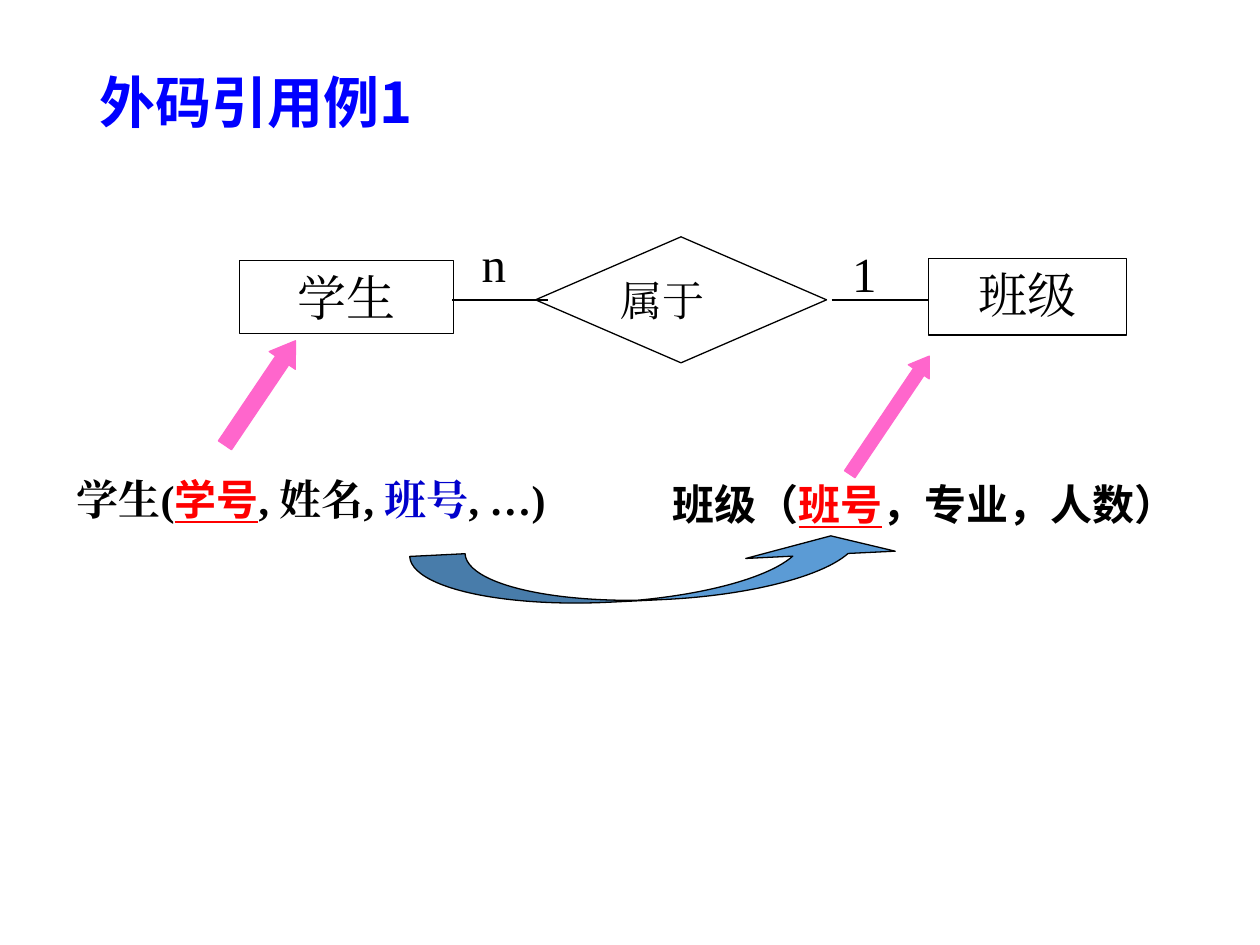
from dataclasses import dataclass
from typing import NamedTuple, Optional

from pptx import Presentation
from pptx.dml.color import RGBColor
from pptx.enum.shapes import MSO_CONNECTOR as Connector, MSO_SHAPE as Shape
from pptx.enum.text import MSO_ANCHOR as Anchor, MSO_AUTO_SIZE as AutoSize, PP_ALIGN as Align
from pptx.oxml.ns import qn
from pptx.util import Inches, Pt


@dataclass(frozen=True)
class Theme:
    black: str = "000000"
    white: str = "FFFFFF"
    title_blue: str = "0000FF"
    foreign_key: str = "0000CC"
    primary_key: str = "FF0000"
    pink: str = "FF66CC"
    arrow_blue: str = "5B9BD5"
    latin: str = "Times New Roman"
    title_font: str = "Noto Sans CJK SC"
    key_font: str = "Noto Sans CJK KR"
    title_size: int = 32
    entity_size: int = 28
    body_size: int = 24
    line_width: float = 0.75


THEME = Theme()


class Box(NamedTuple):
    left: float
    top: float
    width: float
    height: float


class Run(NamedTuple):
    text: str
    color: str = THEME.black
    font: str = THEME.latin
    underline: bool = False


@dataclass(frozen=True)
class Node:
    """A labelled part of the entity-relationship diagram."""
    text: str
    box: Box
    kind: Shape = Shape.RECTANGLE
    fill: Optional[str] = THEME.white
    line: Optional[str] = THEME.black
    size: int = THEME.entity_size
    align: Align = Align.CENTER


@dataclass(frozen=True)
class BlockArrow:
    box: Box
    rotation: float
    kind: Shape = Shape.UP_ARROW
    fill: str = THEME.pink
    line: str = THEME.pink
    adjustments: tuple = (0.5, 0.75)


@dataclass(frozen=True)
class Schema:
    box: Box
    runs: tuple


NODES = (
    Node("1", Box(6.38, 1.88, 0.96, 0.58), line=None),
    Node("班级", Box(7.37, 2.05, 1.57, 0.61)),
    Node("属于", Box(4.25, 1.88, 2.31, 1), Shape.DIAMOND,
         size=THEME.body_size, align=Align.JUSTIFY),
    Node("学生", Box(1.9, 2.07, 1.7, 0.58), fill=None),
    Node("n", Box(3.44, 1.8, 0.96, 0.58), fill=None, line=None),
)
LINK_Y = 2.38
LINKS = ((3.59, 4.35), (6.6, 7.37))
ARROWS = (
    BlockArrow(Box(1.94, 2.62, 0.25, 1), 34),
    BlockArrow(Box(6.96, 2.73, 0.2, 1.13), 34),
    BlockArrow(Box(3.26, 4.32, 3.94, 0.44), 357.2, Shape.CURVED_UP_ARROW,
               THEME.arrow_blue, THEME.black, (1.349, 2.699, 0.333)),
)
SCHEMAS = (
    Schema(Box(0.51, 3.71, 4.68, 0.5), (
        Run("学生("),
        Run("学号", THEME.primary_key, THEME.key_font, True),
        Run(", 姓名, "),
        Run("班号", THEME.foreign_key),
        Run(", …)"),
    )),
    Schema(Box(5.24, 3.75, 4.45, 0.5), (
        Run("班级（", font=THEME.key_font),
        Run("班号", THEME.primary_key, THEME.key_font, True),
        Run("，专业，人数）", font=THEME.key_font),
    )),
)


def inches(box: Box) -> list:
    return [Inches(value) for value in box]


def add_run(paragraph, content: Run, size: int, bold: bool = False) -> None:
    run = paragraph.add_run()
    run.text = content.text
    formats = {"name": content.font, "size": Pt(size), "bold": bold,
               "underline": content.underline}
    for name, value in formats.items():
        setattr(run.font, name, value)
    run.font.color.rgb = RGBColor.from_string(content.color)
    # East Asian characters take their own typeface
    east_asian = run.font._element.makeelement(qn("a:ea"), {"typeface": content.font})
    run.font._element.find(qn("a:latin")).addnext(east_asian)


def paint(shape, fill: Optional[str], line: Optional[str]) -> None:
    shape.shadow.inherit = False
    if fill:
        shape.fill.solid()
        shape.fill.fore_color.rgb = RGBColor.from_string(fill)
    else:
        shape.fill.background()
    if line:
        shape.line.color.rgb = RGBColor.from_string(line)
        shape.line.width = Pt(THEME.line_width)
    else:
        shape.line.fill.background()


def add_title(slide, text: str) -> None:
    title = slide.shapes.title
    title.left, title.top, title.width, title.height = inches(Box(0.69, 0.4, 8.62, 0.87))
    title.text_frame.vertical_anchor = Anchor.MIDDLE
    paragraph = title.text_frame.paragraphs[0]
    paragraph.alignment = Align.LEFT
    paragraph.line_spacing = 0.9
    add_run(paragraph, Run(text, THEME.title_blue, THEME.title_font), THEME.title_size, True)


def add_node(slide, node: Node) -> None:
    shape = slide.shapes.add_shape(node.kind, *inches(node.box))
    paint(shape, node.fill, node.line)
    shape.text_frame.word_wrap = True
    shape.text_frame.vertical_anchor = Anchor.TOP
    paragraph = shape.text_frame.paragraphs[0]
    paragraph.alignment = node.align
    add_run(paragraph, Run(node.text), node.size)


def add_link(slide, start: float, end: float) -> None:
    link = slide.shapes.add_connector(
        Connector.STRAIGHT, Inches(start), Inches(LINK_Y), Inches(end), Inches(LINK_Y))
    link.line.color.rgb = RGBColor.from_string(THEME.black)
    link.line.width = Pt(THEME.line_width)
    properties = link._element.spPr
    properties.append(properties.makeelement(qn("a:effectLst"), {}))


def add_block_arrow(slide, arrow: BlockArrow) -> None:
    shape = slide.shapes.add_shape(arrow.kind, *inches(arrow.box))
    paint(shape, arrow.fill, arrow.line)
    shape.rotation = arrow.rotation
    for index, value in enumerate(arrow.adjustments):
        shape.adjustments[index] = value


def add_schema(slide, schema: Schema) -> None:
    frame = slide.shapes.add_textbox(*inches(schema.box)).text_frame
    frame.word_wrap = True
    frame.auto_size = AutoSize.SHAPE_TO_FIT_TEXT
    for content in schema.runs:
        add_run(frame.paragraphs[0], content, THEME.body_size, True)


def main() -> None:
    presentation = Presentation()
    presentation.slide_width, presentation.slide_height = Inches(10), Inches(7.5)
    slide = presentation.slides.add_slide(presentation.slide_layouts[5])
    add_title(slide, "外码引用例1")
    # Entities, relationship and cardinalities
    for node in NODES:
        add_node(slide, node)
    for start, end in LINKS:
        add_link(slide, start, end)
    # Relation schemas and the arrows between them
    for schema in SCHEMAS:
        add_schema(slide, schema)
    for arrow in ARROWS:
        add_block_arrow(slide, arrow)
    presentation.save("out.pptx")


if __name__ == "__main__":
    main()
